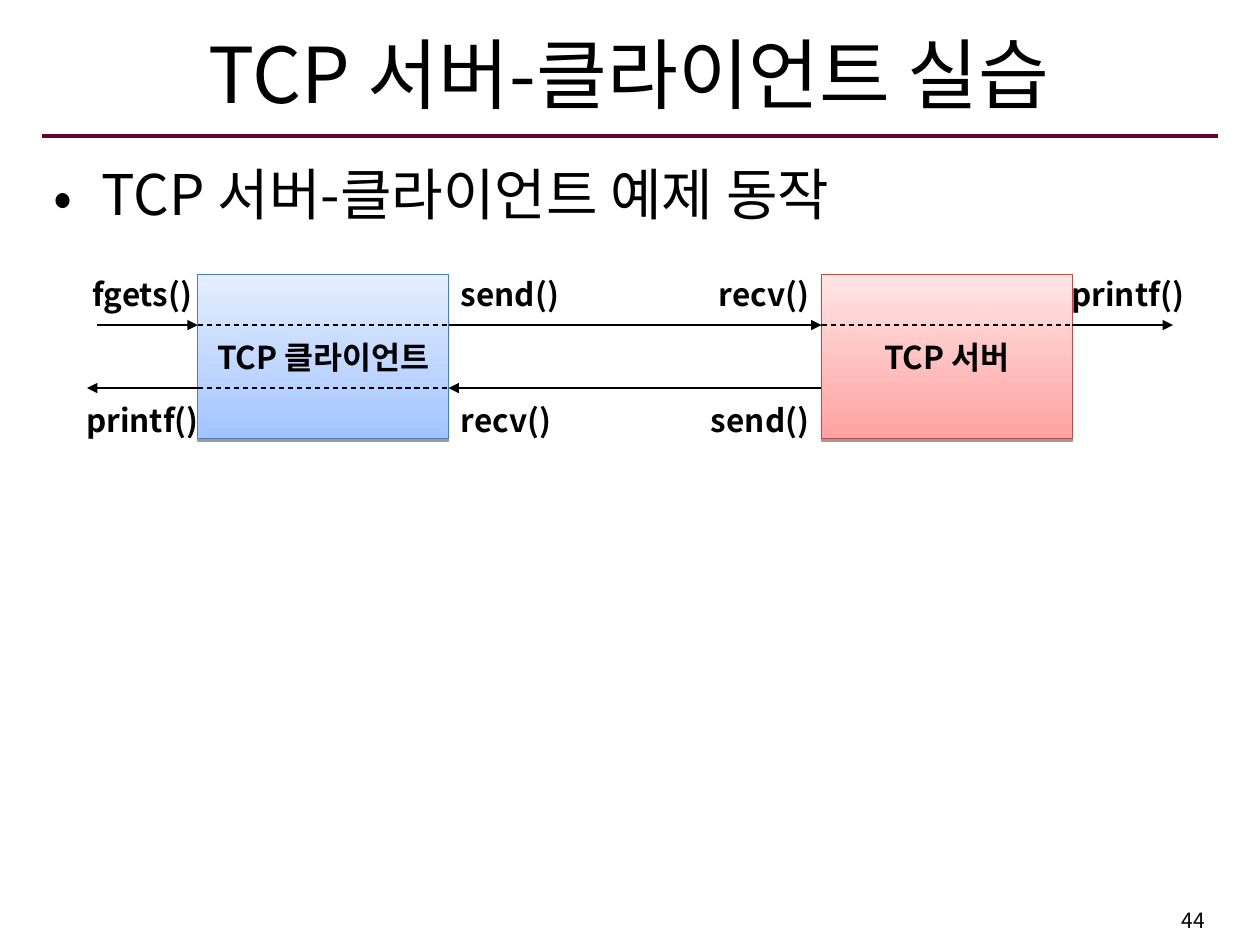
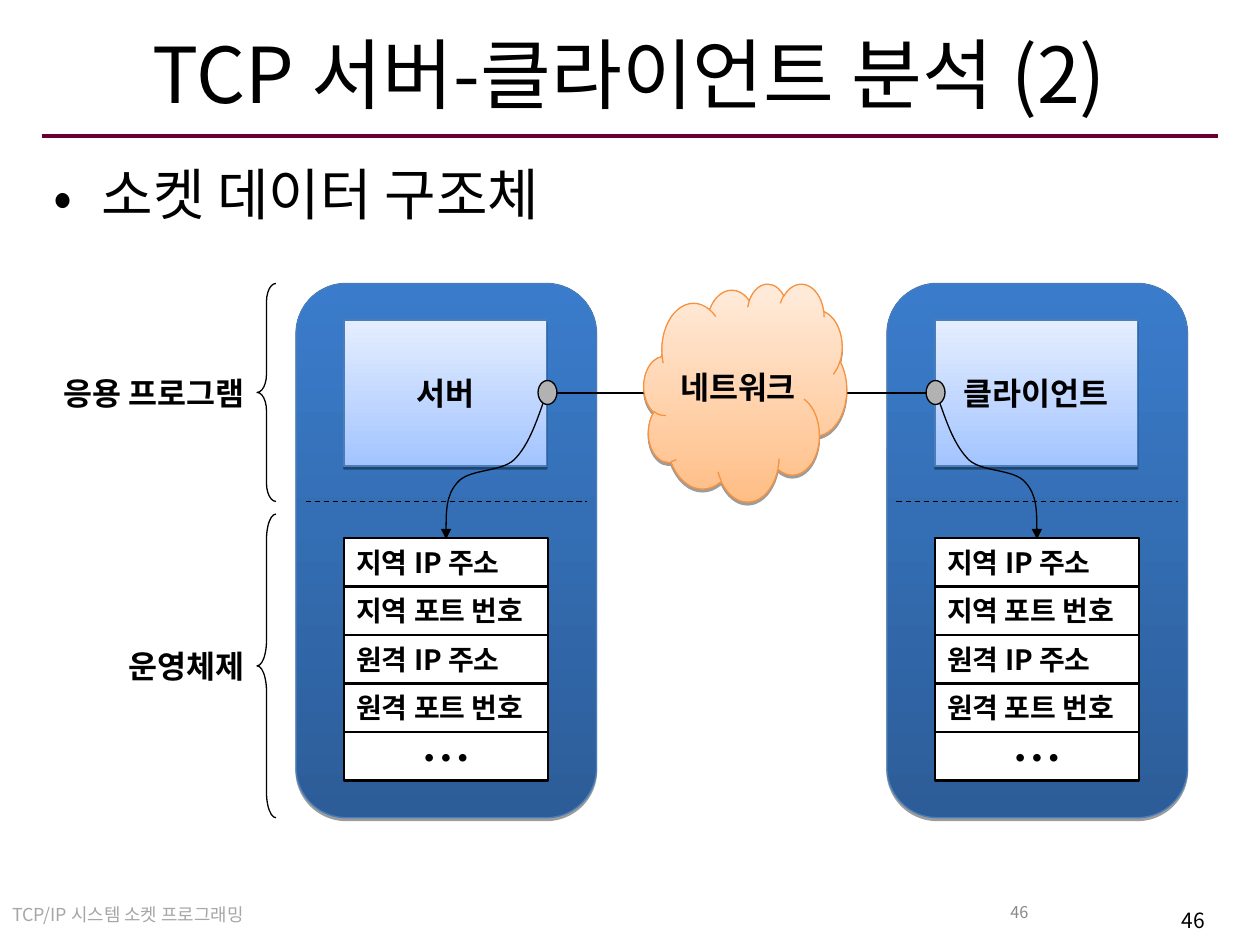
from dataclasses import dataclass
from typing import Optional

import pptx
import pptx.dml.color
import pptx.dml.fill
import pptx.enum.dml
import pptx.enum.shapes
import pptx.enum.text
import pptx.oxml
import pptx.oxml.ns
import pptx.presentation
import pptx.shapes.autoshape
import pptx.shapes.base
import pptx.shapes.connector
import pptx.slide
import pptx.text.text
import pptx.util
from lxml import etree

Align = pptx.enum.text.PP_ALIGN
Anchor = pptx.enum.text.MSO_ANCHOR
Preset = pptx.enum.shapes.MSO_SHAPE
qn = pptx.oxml.ns.qn

COLUMNS, ROWS = 100, 75
CELL = pptx.util.Inches(10) // COLUMNS


@dataclass(frozen=True)
class Theme:
    font: str = "Noto Sans CJK KR"
    dots_font: str = "Times New Roman"
    title_size: float = 44
    body_size: float = 32
    label_size: float = 18
    field_size: float = 16
    page_size: float = 12
    footer_size: float = 10.2
    small_page_size: float = 9.3
    ink: str = "000000"
    paper: str = "FFFFFF"
    rule: str = "660033"
    footer: str = "A6A6A6"
    small_page: str = "898989"
    socket: str = "B2B2B2"
    blue_line: str = "4A7EBB"
    red_line: str = "BE4B48"
    orange_line: str = "F69240"
    # Gradients run from the bottom colour to the top colour.
    light_blue: tuple[str, str] = ("A3C4FF", "E5EEFF")
    deep_blue: tuple[str, str] = ("2C5D98", "3A7CCB")
    red: tuple[str, str] = ("FFA2A1", "FFE5E5")
    orange: tuple[str, str] = ("FFBE86", "FFEBDB")
    thin: float = 0.75
    field_border: float = 1.5
    rule_width: float = 2.25


THEME = Theme()


@dataclass(frozen=True)
class Area:
    """A rectangle in grid columns and rows."""
    left: float
    top: float
    width: float
    height: float

    @property
    def right(self) -> float:
        return self.left + self.width

    def lengths(self) -> list[int]:
        return [grid(value) for value in (self.left, self.top, self.width, self.height)]


@dataclass(frozen=True)
class TextStyle:
    size: float = THEME.label_size
    bold: bool = True
    color: str = THEME.ink
    font: str = THEME.font
    align: Align = Align.CENTER
    anchor: Anchor = Anchor.MIDDLE
    wrap: bool = False
    line_spacing: Optional[float] = None
    bullet: bool = False


@dataclass(frozen=True)
class Label:
    text: str
    area: Area
    style: TextStyle = TextStyle()


@dataclass(frozen=True)
class Line:
    start: tuple[float, float]
    end: tuple[float, float]
    arrow: bool = False
    dashed: bool = False
    color: str = THEME.ink
    width: float = THEME.thin


@dataclass(frozen=True)
class Block:
    area: Area
    fill: str | tuple[str, str]
    line: str = THEME.ink
    text: str = ""
    style: TextStyle = TextStyle()
    preset: Preset = Preset.RECTANGLE
    line_width: float = THEME.thin


LEFT_LABEL = TextStyle(align=Align.LEFT)
RIGHT_LABEL = TextStyle(align=Align.RIGHT)
FIELD = TextStyle(THEME.field_size, align=Align.LEFT)
DOTS = TextStyle(THEME.field_size, font=THEME.dots_font)
TITLE = TextStyle(THEME.title_size, bold=False, wrap=True)
BODY = TextStyle(THEME.body_size, bold=False, align=Align.LEFT, anchor=Anchor.TOP,
                 wrap=True, bullet=True)
PAGE = TextStyle(THEME.page_size, bold=False, align=Align.RIGHT, anchor=Anchor.TOP, wrap=True)
FOOTER = TextStyle(THEME.footer_size, False, THEME.footer, align=Align.LEFT,
                   anchor=Anchor.TOP, wrap=True, line_spacing=0.9)
SMALL_PAGE = TextStyle(THEME.small_page_size, False, THEME.small_page, align=Align.LEFT,
                       anchor=Anchor.TOP, wrap=True, line_spacing=0.8)


def grid(value: float) -> int:
    return round(value * CELL)


def rgb(color: str) -> pptx.dml.color.RGBColor:
    return pptx.dml.color.RGBColor.from_string(color)


def write(frame: pptx.text.text.TextFrame, text: str, style: TextStyle) -> None:
    frame.word_wrap = style.wrap
    frame.vertical_anchor = style.anchor
    paragraph = frame.paragraphs[0]
    paragraph.text = text
    paragraph.alignment = style.align
    if style.line_spacing:
        paragraph.line_spacing = style.line_spacing
    properties = paragraph._p.get_or_add_pPr()
    if style.bullet:
        indent = grid(3.8)
        properties.set("marL", str(indent))
        properties.set("indent", str(-indent))
        etree.SubElement(properties, qn("a:buFont")).set("typeface", style.font)
        etree.SubElement(properties, qn("a:buChar")).set("char", "•")
    font = paragraph.font
    font.size = pptx.util.Pt(style.size)
    font.bold = style.bold
    font.color.rgb = rgb(style.color)
    font.name = style.font
    defaults = properties.find(qn("a:defRPr"))
    defaults.set("kern", "0")
    etree.SubElement(defaults, qn("a:ea")).set("typeface", style.font)


def draw_label(slide: pptx.slide.Slide, label: Label) -> None:
    box = slide.shapes.add_textbox(*label.area.lengths())
    write(box.text_frame, label.text, label.style)


def paint(fill: pptx.dml.fill.FillFormat, color: str | tuple[str, str]) -> None:
    if isinstance(color, str):
        fill.solid()
        fill.fore_color.rgb = rgb(color)
        return
    fill.gradient()
    fill.gradient_angle = 90
    for stop, stop_color in zip(fill.gradient_stops, color):
        stop.color.rgb = rgb(stop_color)


def drop_shadow(shape: pptx.shapes.base.BaseShape) -> None:
    effects = shape._element.spPr.find(qn("a:effectLst"))
    shadow = etree.SubElement(effects, qn("a:outerShdw"), blurRad="0",
                              dist=str(pptx.util.Pt(1.6)), dir="5400000", rotWithShape="0")
    color = etree.SubElement(shadow, qn("a:srgbClr"), val=THEME.ink)
    etree.SubElement(color, qn("a:alpha"), val="38000")


def draw_block(slide: pptx.slide.Slide, block: Block) -> pptx.shapes.autoshape.Shape:
    """Draw a preset shape; gradient blocks also cast a shadow."""
    shape = slide.shapes.add_shape(block.preset, *block.area.lengths())
    shape.shadow.inherit = False
    paint(shape.fill, block.fill)
    shape.line.color.rgb = rgb(block.line)
    shape.line.width = pptx.util.Pt(block.line_width)
    if not isinstance(block.fill, str):
        drop_shadow(shape)
    if block.text:
        write(shape.text_frame, block.text, block.style)
    return shape


def add_arrowhead(shape: pptx.shapes.base.BaseShape) -> None:
    etree.SubElement(shape._element.spPr.find(qn("a:ln")), qn("a:tailEnd"), type="triangle")


def draw_line(slide: pptx.slide.Slide, line: Line) -> pptx.shapes.connector.Connector:
    ends = [grid(value) for value in (*line.start, *line.end)]
    connector = slide.shapes.add_connector(pptx.enum.shapes.MSO_CONNECTOR.STRAIGHT, *ends)
    connector.line.color.rgb = rgb(line.color)
    connector.line.width = pptx.util.Pt(line.width)
    if line.dashed:
        connector.line.dash_style = pptx.enum.dml.MSO_LINE.DASH
    if line.arrow:
        add_arrowhead(connector)
    etree.SubElement(connector._element.spPr, qn("a:effectLst"))
    return connector


def outline_only(shape: pptx.shapes.autoshape.Shape) -> None:
    shape.shadow.inherit = False
    shape.fill.background()
    shape.line.color.rgb = rgb(THEME.ink)
    shape.line.width = pptx.util.Pt(THEME.thin)


def draw_curved_arrow(slide: pptx.slide.Slide, points: list[tuple[float, float]]) -> None:
    """Draw Bezier curves: a start point, then two handles and an end for each curve."""
    start, *others = [(grid(x), grid(y)) for x, y in points]
    builder = slide.shapes.build_freeform(*start)
    builder.add_line_segments(others, close=False)
    shape = builder.convert_to_shape()
    segments = list(shape._element.iter(qn("a:lnTo")))
    for first in range(0, len(segments), 3):
        curve = etree.Element(qn("a:cubicBezTo"))
        segments[first].addprevious(curve)
        for segment in segments[first:first + 3]:
            curve.append(segment[0])
            segment.getparent().remove(segment)
    outline_only(shape)
    add_arrowhead(shape)


def draw_brace(slide: pptx.slide.Slide, area: Area) -> None:
    brace = slide.shapes.add_shape(Preset.LEFT_BRACE, *area.lengths())
    outline_only(brace)
    brace.adjustments[0] = area.height / 12 / area.width


def add_slide(presentation: pptx.presentation.Presentation, title: str, body: str,
              page: str) -> pptx.slide.Slide:
    slide = presentation.slides.add_slide(presentation.slide_layouts[6])
    draw_line(slide, Line((3.3, 10.8), (96.7, 10.8), color=THEME.rule, width=THEME.rule_width))
    draw_label(slide, Label(page, Area(75.4, 71.5, 21.2, 3.3), PAGE))
    draw_label(slide, Label(title, Area(3.3, 1.5, 93.3, 8.5), TITLE))
    draw_label(slide, Label(body, Area(3.3, 12.2, 93.3, 58.6), BODY))
    return slide


def draw_message_flow(slide: pptx.slide.Slide) -> None:
    client = Area(15.7, 21.8, 19.9, 13)
    server = Area(65.2, 21.8, 19.9, 13)
    request, reply = 25.8, 30.8
    label_width, label_height = 12.8, 5
    above = request - label_height
    draw_block(slide, Block(client, THEME.light_blue, THEME.blue_line, "TCP 클라이언트"))
    draw_block(slide, Block(server, THEME.red, THEME.red_line, "TCP 서버"))

    for row, start, end in ((request, 7.7, client.left),
                            (request, client.right, server.left),
                            (request, server.right, 93.1),
                            (reply, server.left, client.right),
                            (reply, client.left, 6.9)):
        draw_line(slide, Line((start, row), (end, row), arrow=True))
    for row, area in ((request, client), (reply, client), (request, server)):
        draw_line(slide, Line((area.left, row), (area.right, row), dashed=True))

    outer_left = 11.3 - label_width / 2
    outer_right = 89.5 - label_width / 2
    inner_right = server.left - label_width
    for text, left, top, style in (("fgets()", outer_left, above, TextStyle()),
                                   ("send()", client.right, above, LEFT_LABEL),
                                   ("recv()", inner_right, above, RIGHT_LABEL),
                                   ("printf()", outer_right, above, TextStyle()),
                                   ("printf()", outer_left, reply, TextStyle()),
                                   ("recv()", client.right, reply, LEFT_LABEL),
                                   ("send()", inner_right, reply, RIGHT_LABEL)):
        draw_label(slide, Label(text, Area(left, top, label_width, label_height), style))


def draw_host(slide: pptx.slide.Slide, left: float, name: str) -> pptx.shapes.autoshape.Shape:
    """Draw a host with its socket fields and return its program box."""
    draw_block(slide, Block(Area(left, 22.5, 23.85, 42.4), THEME.deep_blue, THEME.blue_line,
                            preset=Preset.ROUNDED_RECTANGLE))
    program = draw_block(slide, Block(Area(left + 3.8, 25.4, 16.1, 11.6), THEME.light_blue,
                                      THEME.blue_line, name))
    draw_line(slide, Line((left + 0.75, 39.8), (left + 23.1, 39.8), dashed=True))
    fields = ("지역 IP 주소", "지역 포트 번호", "원격 IP 주소", "원격 포트 번호", "• • •")
    height = 3.85
    for index, field in enumerate(fields):
        style = DOTS if index == len(fields) - 1 else FIELD
        area = Area(left + 3.8, 42.7 + index * height, 16.2, height)
        draw_block(slide, Block(area, THEME.paper, text=field, style=style,
                                line_width=THEME.field_border))
    return program


def draw_socket_structure(slide: pptx.slide.Slide) -> None:
    server = draw_host(slide, 23.5, "서버")
    client = draw_host(slide, 70.4, "클라이언트")
    network = draw_line(slide, Line((43.4, 31.2), (74.2, 31.2)))
    network.begin_connect(server, 3)
    network.end_connect(client, 1)
    draw_block(slide, Block(Area(51.1, 22.5, 16.1, 17.3), THEME.orange, THEME.orange_line,
                            "네트워크", preset=Preset.CLOUD))

    mirror = 117.7  # the two hosts face each other: x becomes mirror - x
    for left in (42.7, mirror - 42.7 - 1.5):
        draw_block(slide, Block(Area(left, 30.2, 1.5, 1.9), THEME.socket, preset=Preset.OVAL))
    arrow = [(43.1, 32), (42.5, 33.7), (41.9, 35.4), (40.8, 36.5),
             (39.7, 37.5), (37.2, 37.2), (36.3, 38.3),
             (35.4, 39.3), (35.4, 41), (35.4, 42.8)]
    draw_curved_arrow(slide, arrow)
    draw_curved_arrow(slide, [(mirror - x, y) for x, y in arrow])

    label_width, label_height = 17.5, 3.9
    for text, top, height in (("응용 프로그램", 22.5, 17.3), ("운영체제", 40.8, 24.1)):
        brace = Area(20.4, top, 1.5, height)
        draw_brace(slide, brace)
        label_area = Area(brace.left - label_width, top + (height - label_height) / 2,
                          label_width, label_height)
        draw_label(slide, Label(text, label_area, RIGHT_LABEL))


def main() -> None:
    presentation = pptx.Presentation()
    presentation.slide_width = COLUMNS * CELL
    presentation.slide_height = ROWS * CELL
    draw_message_flow(add_slide(presentation, "TCP 서버-클라이언트 실습",
                                "TCP 서버-클라이언트 예제 동작", "44"))
    slide = add_slide(presentation, "TCP 서버-클라이언트 분석 (2)", "소켓 데이터 구조체", "46")
    draw_label(slide, Label("TCP/IP 시스템 소켓 프로그래밍", Area(0, 71.4, 42.5, 2.8), FOOTER))
    draw_label(slide, Label("46", Area(79.2, 71.4, 20.8, 2.7), SMALL_PAGE))
    draw_socket_structure(slide)
    presentation.save("out.pptx")


if __name__ == "__main__":
    main()
